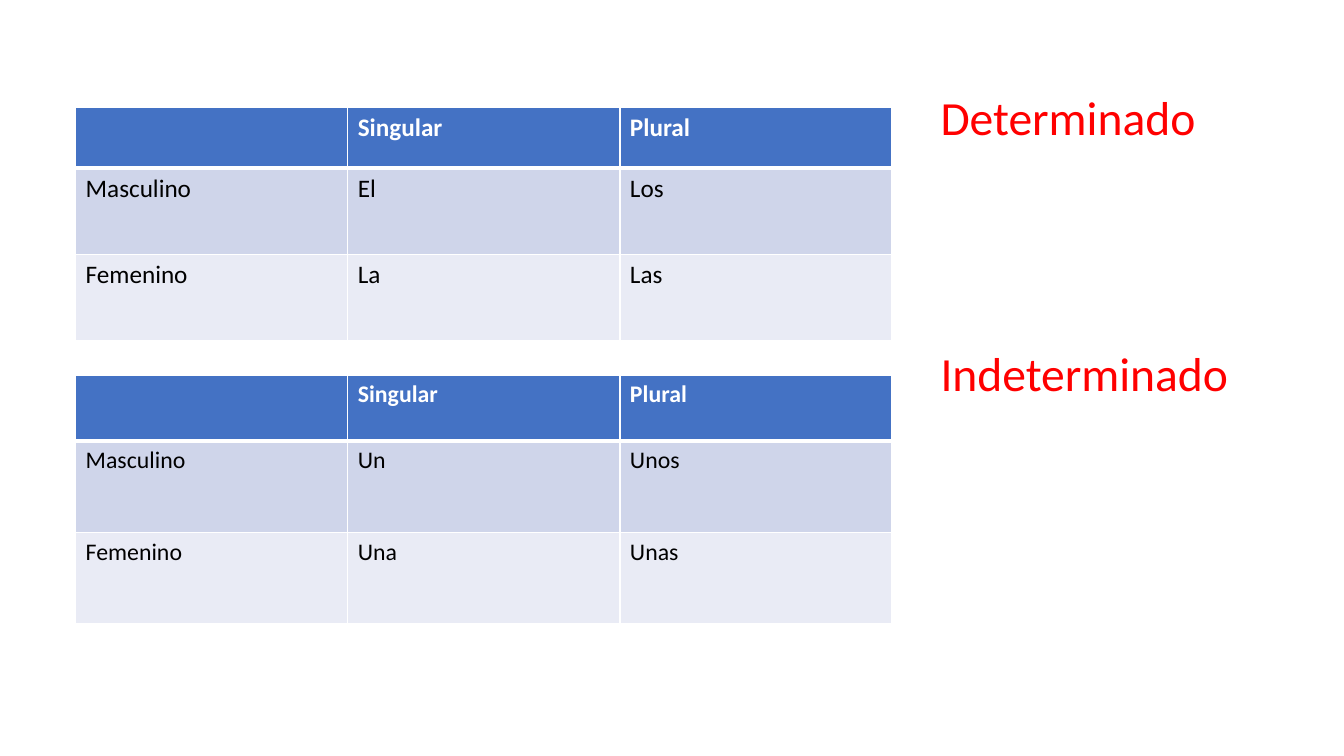
import dataclasses
import lxml.etree
import pptx
import pptx.dml.color
import pptx.enum.text
import pptx.oxml.ns
import pptx.util

Pt = pptx.util.Pt


@dataclasses.dataclass(frozen=True)
class Theme:
    """Hold the colours and type sizes of the slide."""
    font: str = "Calibri"
    red: str = "FF0000"
    white: str = "FFFFFF"
    black: str = "000000"
    head: str = "4472C4"
    bands: tuple = ("CFD5EA", "E9EBF5")
    title: float = 34
    large: float = 18
    small: float = 17
    thin: float = 1
    thick: float = 3


THEME = Theme()


def paint(code):
    """Turn a hex code into a colour."""
    return pptx.dml.color.RGBColor.from_string(code)


def add_run(para, text, size, code, bold=False):
    """Add one styled run to a paragraph."""
    run = para.add_run()
    run.text = text
    font = run.font
    font.name, font.size, font.bold = THEME.font, Pt(size), bold
    font.color.rgb = paint(code)


def add_edge(cell, side, width):
    """Draw one white border of a cell."""
    qn = pptx.oxml.ns.qn
    props = cell._tc.get_or_add_tcPr()
    line = lxml.etree.SubElement(props, qn("a:ln" + side), w=str(Pt(width)))
    fill = lxml.etree.SubElement(line, qn("a:solidFill"))
    lxml.etree.SubElement(fill, qn("a:srgbClr"), val=THEME.white)


def style_cell(cell, row):
    """Set the borders and fill of a cell by its row."""
    thick = {0: "B", 1: "T"}.get(row)
    for side in "LRTB":
        add_edge(cell, side, THEME.thick if side == thick else THEME.thin)
    cell.fill.solid()
    code = THEME.bands[(row - 1) % 2] if row else THEME.head
    cell.fill.fore_color.rgb = paint(code)


def add_grid(slide, top, highs, size, rows):
    """Add a table with a blue head and banded rows."""
    left, wide = 54, 194.4
    count = len(rows[0])
    frame = slide.shapes.add_table(
        len(rows), count, Pt(left), Pt(top), Pt(wide * count), Pt(sum(highs)))
    table = frame.table
    for col in table.columns:
        col.width = Pt(wide)
    for r, (high, words) in enumerate(zip(highs, rows)):
        table.rows[r].height = Pt(high)
        for c, word in enumerate(words):
            cell = table.cell(r, c)
            style_cell(cell, r)
            if word:
                code = THEME.black if r else THEME.white
                add_run(cell.text_frame.paragraphs[0], word, size, code, r == 0)


def add_title(slide, words, gap):
    """Fill the title with one spaced paragraph per word."""
    title = slide.shapes.title
    title.left, title.top = Pt(664.6), Pt(50.4)
    title.width, title.height = Pt(247.7), Pt(439.2)
    frame = title.text_frame
    frame.word_wrap = True
    frame.auto_size = pptx.enum.text.MSO_AUTO_SIZE.NONE
    frame.vertical_anchor = pptx.enum.text.MSO_ANCHOR.TOP
    frame.margin_top = Pt(17)
    for i, word in enumerate(words):
        para = frame.add_paragraph() if i else frame.paragraphs[0]
        para.alignment = pptx.enum.text.PP_ALIGN.LEFT
        para.line_spacing = 0.9
        para.space_before = Pt(gap if i else 0)
        add_run(para, word, THEME.title, THEME.red)


def main():
    """Build the slide of Spanish articles."""
    deck = pptx.Presentation()
    deck.slide_width, deck.slide_height = Pt(960), Pt(540)
    slide = deck.slides.add_slide(deck.slide_layouts[5])
    add_title(slide, ["Determinado", "Indeterminado"], 146)
    head = ["", "Singular", "Plural"]
    add_grid(slide, 77, [43.2, 61.4, 61.4], THEME.large, [
        head, ["Masculino", "El", "Los"], ["Femenino", "La", "Las"]])
    add_grid(slide, 268, [47.2, 65.1, 65.1], THEME.small, [
        head, ["Masculino", "Un", "Unos"], ["Femenino", "Una", "Unas"]])
    deck.save("out.pptx")


if __name__ == "__main__":
    main()
